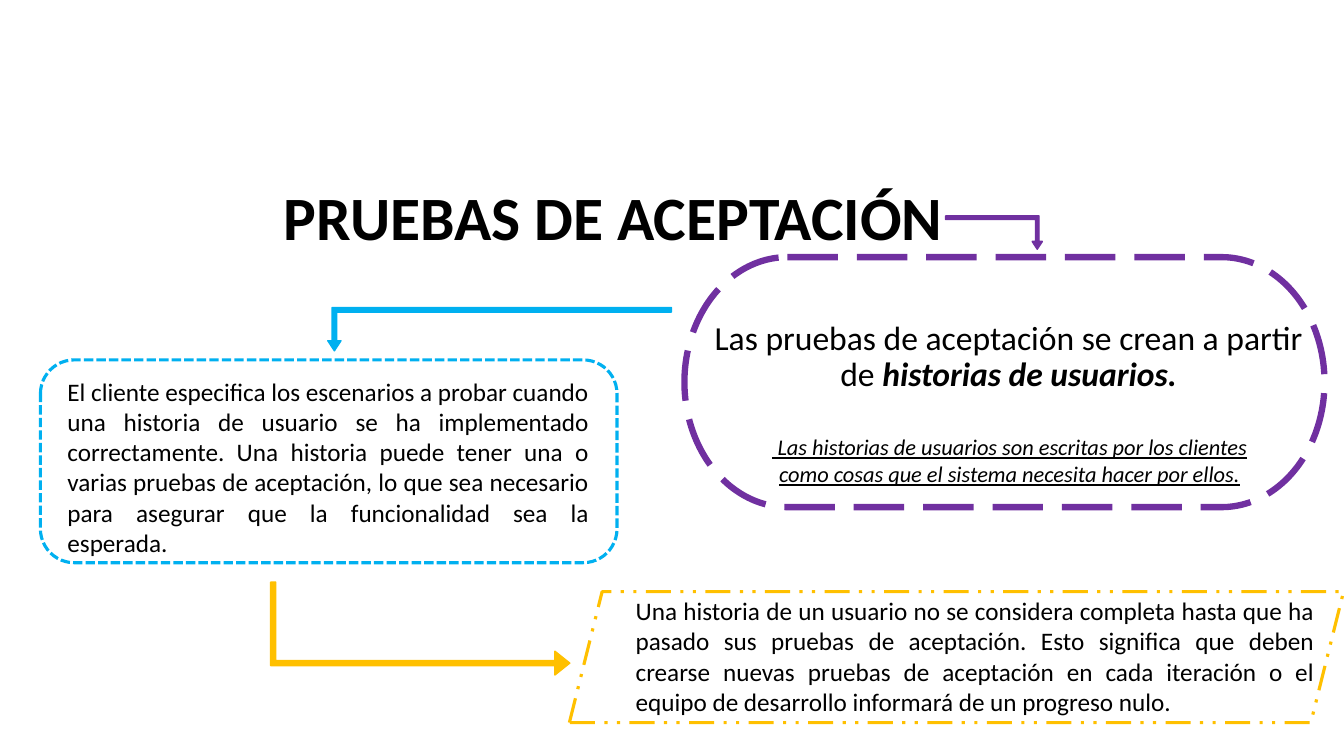
from pptx import Presentation
from pptx.dml.color import RGBColor
from pptx.enum.dml import MSO_LINE
from pptx.enum.shapes import MSO_SHAPE
from pptx.enum.text import MSO_ANCHOR, PP_ALIGN
from pptx.util import Cm, Pt

BLACK = RGBColor(0x00, 0x00, 0x00)
PURPLE = RGBColor(0x70, 0x30, 0xA0)
BLUE = RGBColor(0x00, 0xB0, 0xF0)
GOLD = RGBColor(0xFF, 0xC0, 0x00)
FONT = "Calibri"
BENT = MSO_SHAPE.BENT_UP_ARROW
PILL = MSO_SHAPE.FLOWCHART_TERMINATOR
ROUND = MSO_SHAPE.ROUNDED_RECTANGLE
SLANT = MSO_SHAPE.PARALLELOGRAM
LONG, SHORT, DOTS = MSO_LINE.LONG_DASH, MSO_LINE.SQUARE_DOT, MSO_LINE.DASH_DOT_DOT
CENTER, JUSTIFY = PP_ALIGN.CENTER, PP_ALIGN.JUSTIFY
TOP, MIDDLE = MSO_ANCHOR.TOP, MSO_ANCHOR.MIDDLE
THIN = (0.105, 0.153, 0.234)
LARGE = (0.055, 0.128, 0.161)


def add_text(slide, box, runs, align, anchor=TOP, lead=None, gap=0):
    """Add a wrapped text box from (text, size, styles) runs."""
    frame = slide.shapes.add_textbox(*map(Cm, box)).text_frame
    frame.word_wrap = True
    frame.vertical_anchor = anchor
    para = frame.paragraphs[0]
    para.alignment = align
    para.line_spacing = lead
    para.space_before = Pt(gap)
    for text, size, style in runs:
        run = para.add_run()
        run.text = text
        font = run.font
        font.name = FONT
        font.size = Pt(size)
        font.color.rgb = BLACK
        font.bold = "b" in style
        font.italic = "i" in style
        font.underline = "u" in style


def add_form(slide, kind, box, color, width):
    """Add a shape with a coloured line and no shadow."""
    form = slide.shapes.add_shape(kind, *map(Cm, box))
    form.shadow.inherit = False
    form.line.color.rgb = color
    form.line.width = Pt(width)
    return form


def add_frame(slide, kind, box, color, width, dash):
    """Add an unfilled shape with a dashed outline."""
    form = add_form(slide, kind, box, color, width)
    form.fill.background()
    form.line.dash_style = dash


def add_arrow(slide, box, color, turn, ratios, flip=False):
    """Add a filled bent arrow, turned and possibly mirrored."""
    arrow = add_form(slide, BENT, box, color, 1)
    arrow.fill.solid()
    arrow.fill.fore_color.rgb = color
    arrow.rotation = turn
    for index, ratio in enumerate(ratios):
        arrow.adjustments[index] = ratio
    if flip:
        arrow.element.spPr.xfrm.set("flipH", "1")


def main():
    """Build the slide on acceptance tests."""
    deck = Presentation()
    deck.slide_width, deck.slide_height = Cm(33.87), Cm(19.05)
    slide = deck.slides.add_slide(deck.slide_layouts[6])

    add_text(slide, (0.86, 3.73, 29.21, 3.68),
             [("PRUEBAS DE ACEPTACIÓN", 44, "b")], CENTER, MIDDLE, 0.9)
    add_text(slide, (17.48, 7.98, 15.88, 2.18),
             [("Las pruebas de aceptación se crean a partir de ", 24, ""),
              ("historias de usuarios.", 24, "bi")], CENTER, lead=0.9, gap=10)
    add_frame(slide, PILL, (17.25, 6.48, 16.13, 6.3), PURPLE, 4.5, LONG)
    add_arrow(slide, (23.83, 5.44, 2.44, 0.84), PURPLE, 180, THIN, flip=True)

    add_text(slide, (1.45, 9.35, 13.64, 4.88),
             [("El cliente especifica los escenarios a probar cuando una "
               "historia de usuario se ha implementado correctamente. Una "
               "historia puede tener una o varias pruebas de aceptación, lo "
               "que sea necesario para asegurar que la funcionalidad sea la "
               "esperada.", 18, "")], JUSTIFY)
    add_arrow(slide, (8.26, 7.75, 8.66, 1.09), BLUE, 180, THIN)
    add_frame(slide, ROUND, (1.02, 9.07, 14.53, 5.11), BLUE, 2.25, SHORT)

    add_text(slide, (18.8, 10.72, 13.28, 1.7),
             [(" ", 18, "iu"),
              ("Las historias de usuarios son escritas por los clientes como "
               "cosas que el sistema necesita hacer por ellos.", 16, "iu")],
             CENTER)
    add_text(slide, (15.77, 14.88, 17.6, 3.33),
             [("Una historia de un usuario no se considera completa hasta que "
               "ha pasado sus pruebas de aceptación. Esto significa que deben "
               "crearse nuevas pruebas de aceptación en cada iteración o el "
               "equipo de desarrollo informará de un progreso nulo.", 18, "")],
             JUSTIFY)
    add_frame(slide, SLANT, (14.35, 14.91, 19.51, 3.3), GOLD, 2.25, DOTS)
    add_arrow(slide, (9.42, 12.07, 2.34, 7.54), GOLD, 90, LARGE)

    deck.save("out.pptx")


if __name__ == "__main__":
    main()
